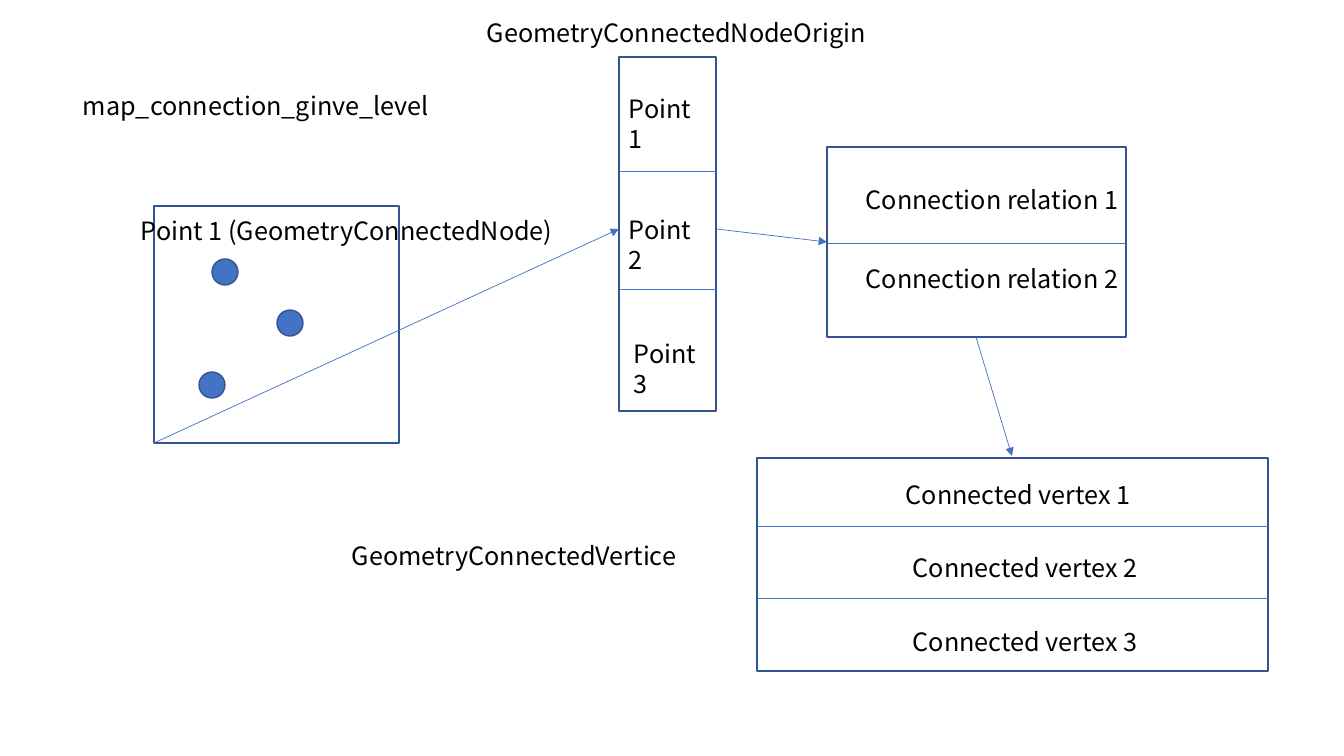
from lxml import etree
from pptx import Presentation
from pptx.dml.color import RGBColor
from pptx.enum.shapes import MSO_CONNECTOR, MSO_SHAPE
from pptx.enum.text import MSO_AUTO_SIZE
from pptx.oxml.ns import qn
from pptx.util import Pt

STRAIGHT = MSO_CONNECTOR.STRAIGHT
RECTANGLE = MSO_SHAPE.RECTANGLE
OVAL = MSO_SHAPE.OVAL
FIT_TEXT = MSO_AUTO_SIZE.SHAPE_TO_FIT_TEXT
BLUE = RGBColor(0x44, 0x72, 0xC4)
DARK_BLUE = RGBColor(0x32, 0x54, 0x91)
BLACK = RGBColor(0, 0, 0)
FONT = {"name": "Noto Sans CJK SC", "size": Pt(18)}
SCALE = 914400 / 100.8


def emu(*pixels):
    return [round(pixel * SCALE) for pixel in pixels]


def add_line(*ends, arrow=False):
    line = slide.shapes.add_connector(STRAIGHT, *emu(*ends))
    line.line.color.rgb = BLUE
    line.line.width = Pt(0.5)
    properties = line._element.spPr
    if arrow:
        outline = properties.find(qn("a:ln"))
        etree.SubElement(outline, qn("a:tailEnd"), type="triangle")
    etree.SubElement(properties, qn("a:effectLst"))


deck = Presentation()
deck.slide_width, deck.slide_height = emu(1344, 756)
slide = deck.slides.add_slide(deck.slide_layouts[6])

map_area = (RECTANGLE, 154, 206, 245, 237)
nodes = [(OVAL, left, top, 26, 26) for left, top in [(212, 259), (277, 310), (199, 372)]]
node_list = (RECTANGLE, 619, 57, 97, 354)
relation_list = (RECTANGLE, 827, 147, 299, 190)
vertex_list = (RECTANGLE, 757, 458, 511, 213)

for kind, *place in [map_area, *nodes, node_list, relation_list, vertex_list]:
    box = slide.shapes.add_shape(kind, *emu(*place))
    box.shadow.inherit = False
    box.line.color.rgb = DARK_BLUE
    box.line.width = Pt(1)
    if kind == OVAL:
        box.fill.solid()
        box.fill.fore_color.rgb = BLUE
    else:
        box.fill.background()

dividers = [(node_list, [171, 289]), (relation_list, [243]), (vertex_list, [526, 598])]
for (kind, left, top, width, height), levels in dividers:
    for level in levels:
        add_line(left, level, left + width, level)

for ends in [(154, 443, 619, 229), (716, 229, 827, 242), (976, 337, 1012, 456)]:
    add_line(*ends, arrow=True)

labels = [
    ("GeometryConnectedNodeOrigin", 477, 12, 536, 40),
    ("map_connection_ginve_level", 73, 85, 846, 40),
    ("Point 1 (GeometryConnectedNode)", 131, 210, 536, 40),
    ("GeometryConnectedVertice", 342, 535, 536, 40),
    ("Point 1", 619, 88, 97, 40),
    ("Point 2", 619, 209, 97, 40),
    ("Point 3", 624, 333, 97, 40),
    ("Connection relation 1", 856, 179, 357, 72),
    ("Connection relation 2", 856, 258, 357, 72),
    ("Connected vertex 1", 896, 474, 390, 40),
    ("Connected vertex 2", 903, 547, 390, 40),
    ("Connected vertex 3", 903, 621, 390, 40),
]
for text, *place in labels:
    frame = slide.shapes.add_textbox(*emu(*place)).text_frame
    frame.word_wrap = True
    frame.auto_size = FIT_TEXT
    span = frame.paragraphs[0].add_run()
    span.text = text
    span.font.color.rgb = BLACK
    for name, value in FONT.items():
        setattr(span.font, name, value)

deck.save("out.pptx")
